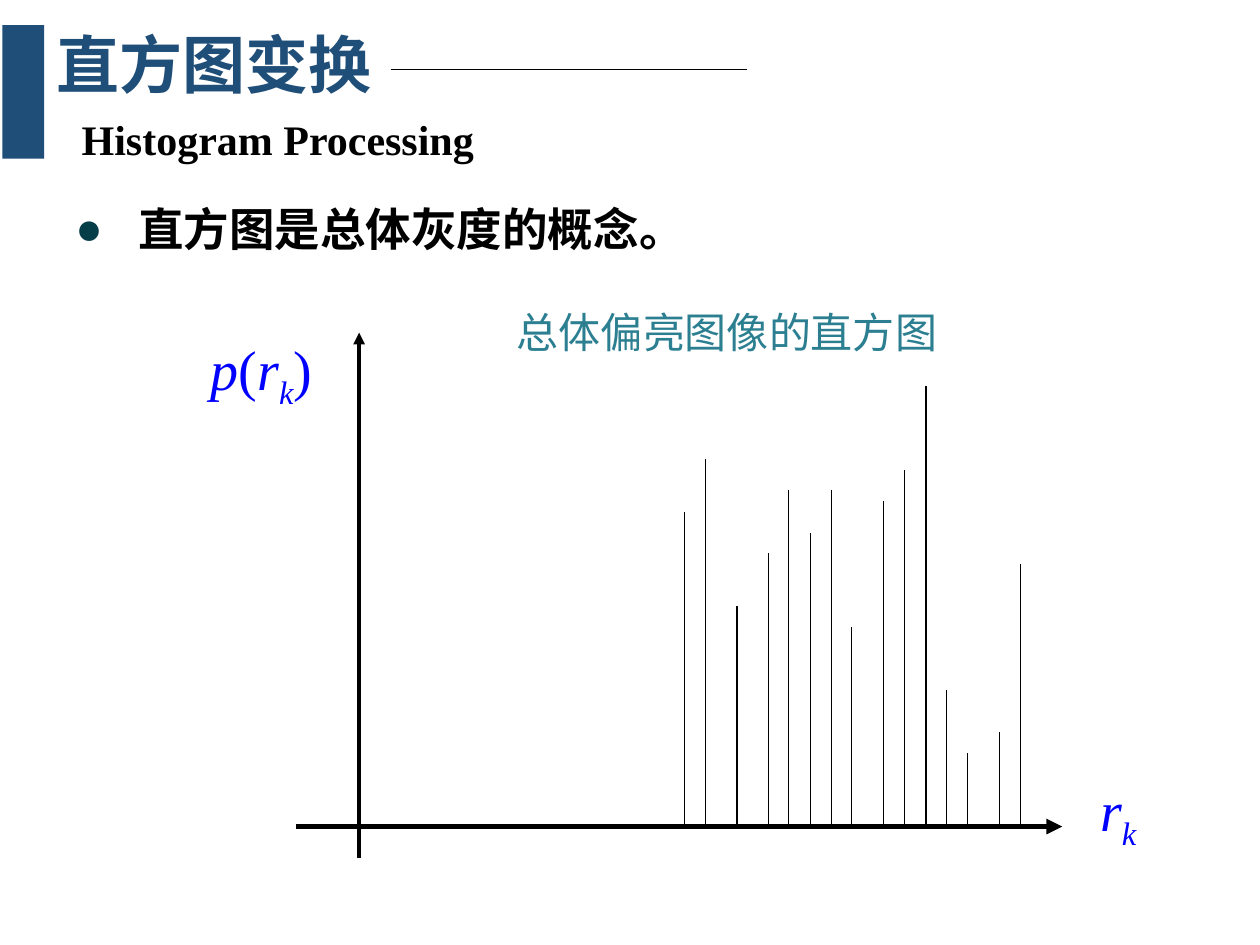
from lxml import etree
from pptx import Presentation
from pptx.dml.color import RGBColor
from pptx.enum.shapes import MSO_CONNECTOR, MSO_SHAPE
from pptx.enum.text import MSO_ANCHOR, PP_ALIGN
from pptx.oxml.ns import qn
from pptx.util import Inches, Pt

BLACK = RGBColor(0x00, 0x00, 0x00)
NAVY = RGBColor(0x1F, 0x4E, 0x79)
TEAL = RGBColor(0x2B, 0x7F, 0x91)
BLUE = RGBColor(0x00, 0x00, 0xFF)
BULLET = RGBColor(0x05, 0x3E, 0x49)
SERIF = "Times New Roman"
CJK = "Noto Sans CJK SC"

BASELINE = 6.56
BARS = [
    (5.43, 4.06), (5.6, 3.64), (5.85, 4.81), (6.1, 4.39), (6.26, 3.89),
    (6.43, 4.23), (6.6, 3.89), (6.76, 4.98), (7.01, 3.98), (7.18, 3.73),
    (7.35, 3.06), (7.51, 5.48), (7.68, 5.98), (7.93, 5.81), (8.1, 4.48),
]
R_K = [("r", True, 0), ("k", True, -25000)]
P_R_K = [("p", True, 0), ("(", False, 0), *R_K, (") ", False, 0)]


def add_line(slide, start, end, width, arrow=False):
    line = slide.shapes.add_connector(
        MSO_CONNECTOR.STRAIGHT, *(Inches(length) for length in start + end))
    line.line.color.rgb = BLACK
    line.line.width = Pt(width)
    if arrow:
        etree.SubElement(line.line._get_or_add_ln(), qn("a:tailEnd"), type="triangle")
    etree.SubElement(line._element.spPr, qn("a:effectLst"))


def add_frame(slide, box, anchor=MSO_ANCHOR.MIDDLE, wrap=True):
    frame = slide.shapes.add_textbox(*(Inches(length) for length in box)).text_frame
    frame.word_wrap = wrap
    frame.vertical_anchor = anchor
    return frame


def style_run(run, font, size, color, bold=False, italic=False):
    run.font.name = font
    run.font.size = Pt(size)
    run.font.color.rgb = color
    run.font.bold = bold
    run.font.italic = italic
    if font != SERIF:
        latin = run._r.rPr.find(qn("a:latin"))
        latin.addnext(latin.makeelement(qn("a:ea"), {"typeface": CJK}))


def add_text(slide, box, wording, font, size, color, bold=False,
             align=PP_ALIGN.LEFT, spacing=1.0, anchor=MSO_ANCHOR.MIDDLE):
    frame = add_frame(slide, box, anchor)
    frame.text = wording
    paragraph = frame.paragraphs[0]
    paragraph.alignment = align
    paragraph.line_spacing = spacing
    style_run(paragraph.runs[0], font, size, color, bold)
    return paragraph


def add_bullet(paragraph):
    properties = paragraph._p.get_or_add_pPr()
    properties.set("marL", str(Inches(0.5)))
    properties.set("indent", str(-Inches(0.5)))
    color = etree.SubElement(properties, qn("a:buClr"))
    etree.SubElement(color, qn("a:srgbClr"), val=str(BULLET))
    etree.SubElement(properties, qn("a:buFont"), typeface="Arial")
    etree.SubElement(properties, qn("a:buChar"), char="●")


def add_symbol(slide, box, parts, wrap=True):
    paragraph = add_frame(slide, box, wrap=wrap).paragraphs[0]
    paragraph.alignment = PP_ALIGN.CENTER
    for letter, italic, baseline in parts:
        run = paragraph.add_run()
        run.text = letter
        style_run(run, SERIF, 32, BLUE, italic=italic)
        if baseline:
            run._r.rPr.set("baseline", str(baseline))


def add_heading(slide):
    add_text(slide, (0.35, 0.11, 2.99, 0.87), "直方图变换", CJK, 36, NAVY,
             bold=True, spacing=0.9)
    add_line(slide, (3.1, 0.55), (5.93, 0.55), 0.5)
    accent = slide.shapes.add_shape(
        MSO_SHAPE.RECTANGLE, Inches(0.02), Inches(0.2), Inches(0.33), Inches(1.06))
    accent.shadow.inherit = False
    accent.fill.solid()
    accent.fill.fore_color.rgb = NAVY
    accent.line.fill.background()
    add_text(slide, (0.55, 0.68, 7.13, 0.89), "Histogram Processing", SERIF, 24,
             BLACK, bold=True, spacing=0.9)


def add_histogram(slide):
    add_line(slide, (2.35, BASELINE), (8.43, BASELINE), 3, arrow=True)
    add_line(slide, (2.85, 6.81), (2.85, 2.64), 2.25, arrow=True)
    add_symbol(slide, (1.43, 2.64, 1.4, 0.63), P_R_K)
    add_symbol(slide, (8.62, 6.14, 0.51, 0.64), R_K, wrap=False)
    for gray_level, top in BARS:
        add_line(slide, (gray_level, BASELINE), (gray_level, top), 0.75)
    add_text(slide, (3.82, 2.38, 3.9, 0.5), "总体偏亮图像的直方图", CJK, 24, TEAL,
             align=PP_ALIGN.CENTER, anchor=MSO_ANCHOR.TOP)


def main():
    presentation = Presentation()
    presentation.slide_width = Inches(10)
    presentation.slide_height = Inches(7.5)
    slide = presentation.slides.add_slide(presentation.slide_layouts[6])
    statement = add_text(slide, (0.5, 1.46, 9, 2.06), "直方图是总体灰度的概念。",
                         "Calibri", 26, BLACK, bold=True, spacing=1.2,
                         anchor=MSO_ANCHOR.TOP)
    add_bullet(statement)
    add_histogram(slide)
    add_heading(slide)
    presentation.save("out.pptx")


if __name__ == "__main__":
    main()
